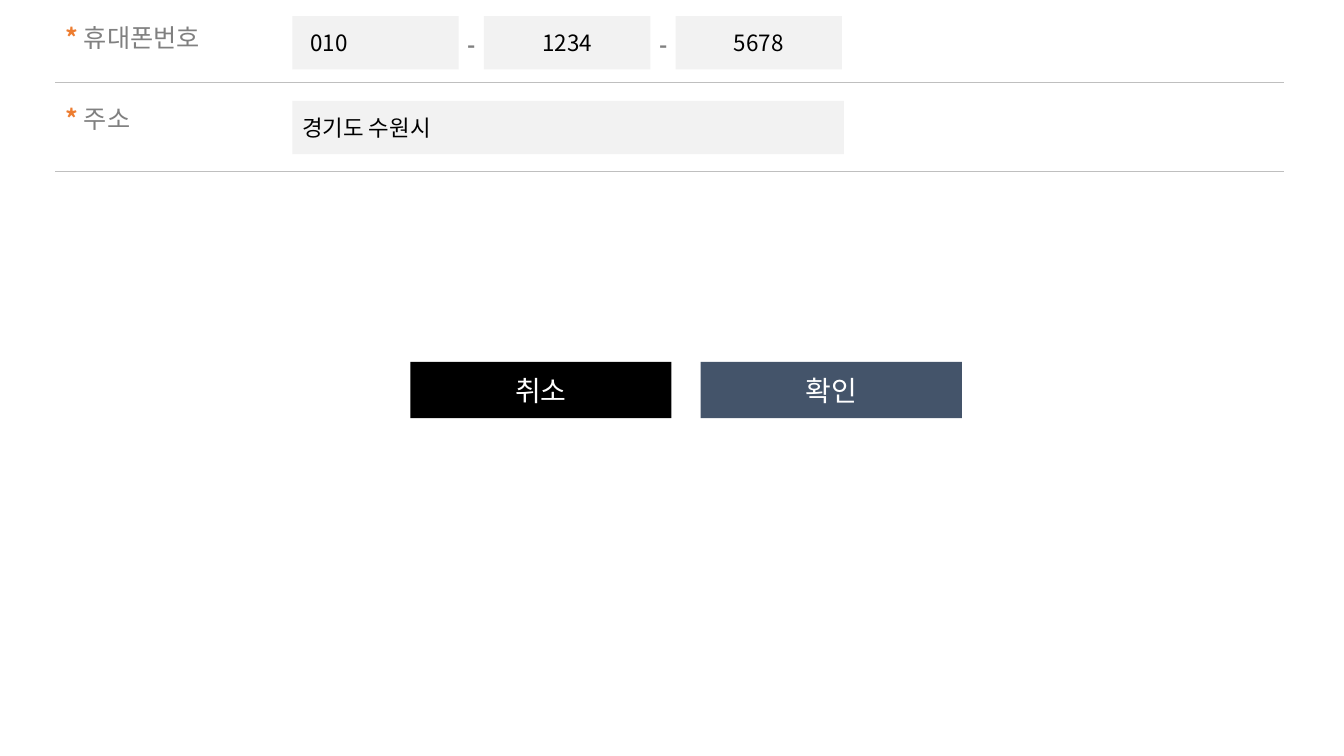
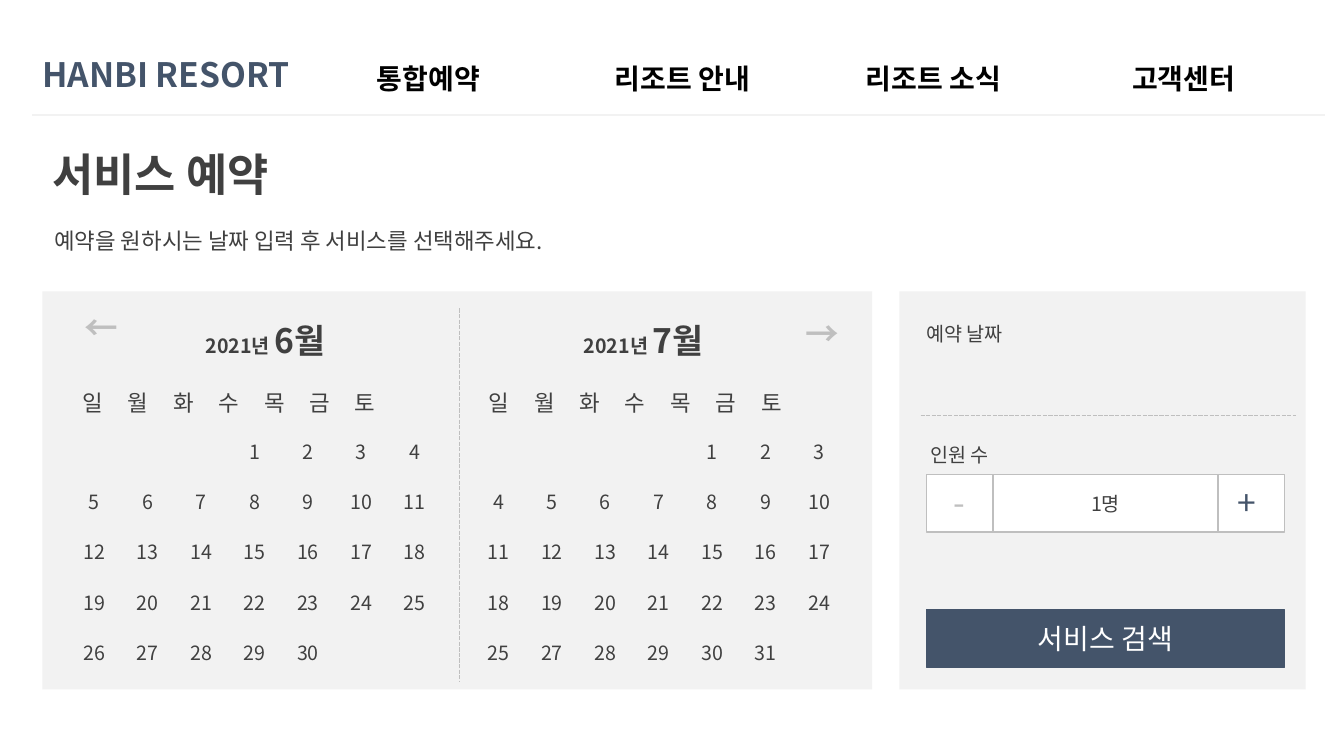
from lxml.etree import SubElement
from pptx import Presentation
from pptx.dml.color import RGBColor
from pptx.enum.dml import MSO_LINE
from pptx.enum.shapes import MSO_CONNECTOR, MSO_SHAPE
from pptx.enum.text import MSO_ANCHOR, MSO_AUTO_SIZE, PP_ALIGN
from pptx.oxml.ns import qn
from pptx.util import Pt

PX = 9144
FONT = "Noto Sans CJK KR"
PLAIN = "{2D5ABB26-0587-4C30-8999-92F81FD0307C}"
COLORS = {
    "black": "000000",
    "white": "FFFFFF",
    "navy": "44546A",
    "dark": "404040",
    "gray": "808080",
    "rule": "BFBFBF",
    "panel": "F2F2F2",
    "star": "ED7D31",
}
LEFT, MID = PP_ALIGN.LEFT, PP_ALIGN.CENTER


def color(name):
    return RGBColor.from_string(COLORS[name])


def scale(*sizes):
    return [size * PX for size in sizes]


class Page:
    def __init__(self, deck, layout):
        self.slide = deck.slides.add_slide(deck.slide_layouts[layout])
        self.shapes = self.slide.shapes

    def style(self, para, size, tint, bold=False, align=LEFT):
        para.alignment = align
        font = para.font
        font.name, font.size, font.bold = FONT, Pt(size), bold
        font.color.rgb = color(tint)
        SubElement(font._rPr, qn("a:ea"), typeface=FONT)

    def title(self, text, box):
        shape = self.shapes.title
        shape.left, shape.top, shape.width, shape.height = scale(*box)
        frame = shape.text_frame
        frame.text = text
        frame.auto_size = MSO_AUTO_SIZE.NONE
        frame.vertical_anchor = MSO_ANCHOR.TOP
        self.style(frame.paragraphs[0], 32, "dark", True)

    def text(self, text, box, size, tint="dark", bold=False, tabs=()):
        frame = self.shapes.add_textbox(*scale(*box)).text_frame
        frame.word_wrap = True
        frame.auto_size = MSO_AUTO_SIZE.SHAPE_TO_FIT_TEXT
        para = frame.paragraphs[0]
        para.text = text
        if tabs:
            stops = SubElement(para._p.get_or_add_pPr(), qn("a:tabLst"))
            for stop in tabs:
                SubElement(stops, qn("a:tab"), pos=str(stop * PX), algn="l")
        self.style(para, size, tint, bold)
        return para

    def label(self, text, box):
        para = self.text("* ", box, 18, "star", True)
        run = para.add_run()
        run.text = text
        run.font.bold = False
        run.font.color.rgb = color("gray")

    def month(self, year, name, box):
        para = self.text(year, box, 14, bold=True)
        run = para.add_run()
        run.text = name
        run.font.size = Pt(24)

    def rect(self, box, fill, line=None, text="", size=16, tint="black",
             align=MID, inset=10):
        shape = self.shapes.add_shape(MSO_SHAPE.RECTANGLE, *scale(*box))
        shape.shadow.inherit = False
        shape.fill.solid()
        shape.fill.fore_color.rgb = color(fill)
        if line:
            shape.line.color.rgb = color(line)
            shape.line.width = Pt(1)
        else:
            shape.line.fill.background()
        if text:
            frame = shape.text_frame
            frame.text = text
            frame.margin_left = inset * PX
            frame.vertical_anchor = MSO_ANCHOR.MIDDLE
            self.style(frame.paragraphs[0], size, tint, align=align)

    def line(self, ends, tint="rule", width=1.0, dash=False):
        line = self.shapes.add_connector(MSO_CONNECTOR.STRAIGHT, *scale(*ends))
        line.line.color.rgb = color(tint)
        line.line.width = Pt(width)
        if dash:
            line.line.dash_style = MSO_LINE.SQUARE_DOT
        SubElement(line._element.spPr, qn("a:effectLst"))

    def dates(self, days, skip, left, top, wide, high):
        rows = -(-(skip + len(days)) // 7)
        frame = self.shapes.add_table(
            rows, 7, *scale(left, top, wide * 7, high * rows))
        table = frame.table
        table.first_row = table.horz_banding = False
        frame._element.find(".//" + qn("a:tableStyleId")).text = PLAIN
        for col in table.columns:
            col.width = wide * PX
        for row in table.rows:
            row.height = high * PX
        slots = [""] * skip + [str(day) for day in days]
        slots += [""] * (rows * 7 - len(slots))
        for cell, day in zip(table.iter_cells(), slots):
            cell.fill.background()
            cell.margin_left = cell.margin_right = 0
            cell.margin_top = cell.margin_bottom = 0
            cell.vertical_anchor = MSO_ANCHOR.MIDDLE
            cell.text = day
            self.style(cell.text_frame.paragraphs[0], 14, "dark", align=MID)


def form(deck):
    page = Page(deck, 6)
    for name, top, rule in (("휴대폰번호", 17, 82), ("주소", 98, 170)):
        page.label(name, (55, top, 178, 40))
        page.line((55, rule, 1274, rule), width=0.75)
    parts = (("010", LEFT, 18), ("1234", MID, 10), ("5678", MID, 10))
    for i, (part, align, inset) in enumerate(parts):
        left = 290 + 190 * i
        page.rect((left, 16, 165, 53), "panel", text=part, align=align,
                  inset=inset)
        if i:
            page.text("-", (left - 26, 26, 29, 37), 16, "gray", True)
    page.rect((290, 100, 547, 53), "panel", text="경기도 수원시", align=LEFT)
    for i, (name, fill) in enumerate((("취소", "black"), ("확인", "navy"))):
        page.rect((407 + 288 * i, 359, 259, 56), fill, text=name, size=20,
                  tint="white")


def header(page):
    page.text("HANBI RESORT", (32, 49, 285, 50), 24, "navy", True)
    menu = (("통합예약", 364), ("리조트 안내", 600),
            ("리조트 소식", 849), ("고객센터", 1113))
    for name, left in menu:
        page.text(name, (left, 56, 200, 44), 20, "black", True)
    page.line((32, 114, 1314, 114), "panel", 1.5)


def booking(deck):
    page = Page(deck, 5)
    header(page)
    page.title("서비스 예약", (42, 141, 391, 64))
    page.text("예약을 원하시는 날짜 입력 후 서비스를 선택해주세요.",
              (44, 220, 698, 37), 16)

    page.rect((42, 289, 823, 395), "panel")
    page.line((456, 306, 456, 677), dash=True)
    months = (
        ("6월", 194, 72, 67, 3, list(range(1, 31))),
        ("7월", 569, 475, 468, 4, [*range(1, 26), *range(27, 32)]),
    )
    for name, head, week, left, skip, days in months:
        page.month("2021년 ", name, (head, 312, 170, 50))
        page.text("\t".join("일월화수목금토"), (week, 381, 372, 37), 16,
                  tabs=range(45, 271, 45))
        page.dates(days, skip, left, 422, 53, 50)
    page.text("←", (74, 300, 64, 50), 24, "rule", True)
    page.text("→", (789, 306, 64, 50), 24, "rule", True)

    page.rect((892, 289, 403, 395), "panel")
    page.text("예약 날짜", (909, 314, 120, 34), 14)
    page.line((913, 412, 1285, 412), dash=True)
    page.text("인원 수", (913, 434, 103, 34), 14)
    page.rect((919, 471, 355, 57), "white", "rule", "1명", 14, "dark")
    for left in (985, 1208):
        page.line((left, 471, left, 528))
    page.text("-", (936, 473, 66, 50), 24, "rule")
    page.text("+", (1218, 473, 66, 50), 24, "navy")
    page.rect((919, 605, 355, 57), "navy", "navy", "서비스 검색", 20, "white")


def main():
    deck = Presentation()
    deck.slide_width, deck.slide_height = scale(1333, 750)
    form(deck)
    booking(deck)
    deck.save("out.pptx")


if __name__ == "__main__":
    main()
